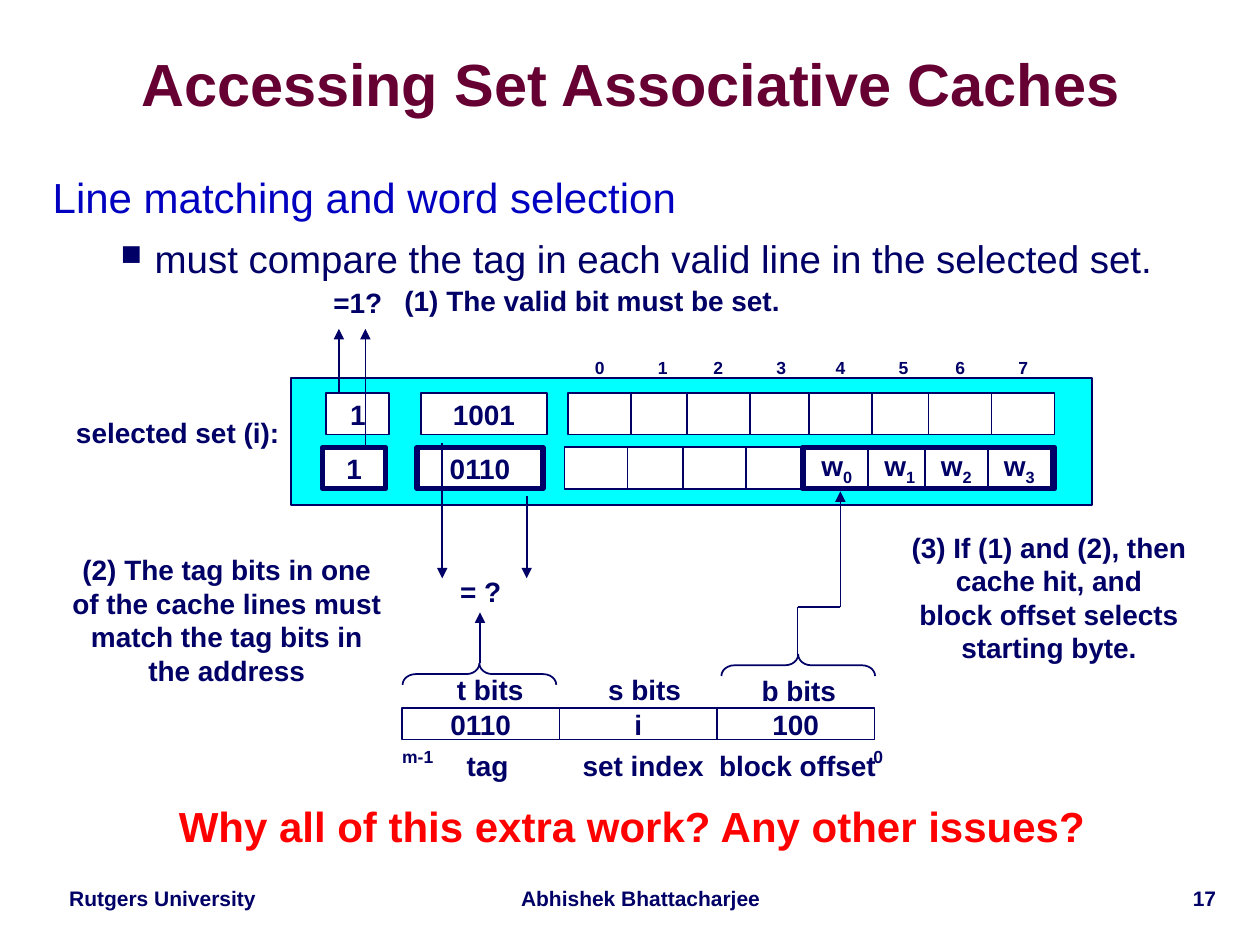
from dataclasses import dataclass
from typing import NamedTuple, Optional

import pptx
import pptx.dml.color
import pptx.enum.shapes
import pptx.enum.text
import pptx.oxml.xmlchemy
import pptx.util

ALIGN = pptx.enum.text.PP_ALIGN
ANCHOR = pptx.enum.text.MSO_ANCHOR
SHAPES = pptx.enum.shapes.MSO_SHAPE


@dataclass(frozen=True)
class Theme:
    font: str = "Arial"
    ink: str = "000066"
    title: str = "660033"
    heading: str = "0000C0"
    alert: str = "FF0000"
    band: str = "00FFFF"
    paper: str = "FFFFFF"
    title_size: int = 34
    heading_size: int = 24
    bullet_size: int = 22
    label_size: int = 16
    footer_size: int = 12
    index_size: int = 10
    thin: int = 1
    thick: int = 3


class Box(NamedTuple):
    """A place on the grid of 100 columns by 75 rows."""
    column: float
    row: float
    columns: float
    rows: float


class Style(NamedTuple):
    size: int
    color: str
    bold: bool = True


class Label(NamedTuple):
    text: str
    box: Box


class Line(NamedTuple):
    start: tuple[float, float]
    end: tuple[float, float]
    arrow: bool = True


THEME = Theme()
LABEL = Style(THEME.label_size, THEME.ink)
INDEX = Style(THEME.index_size, THEME.ink)
FOOTER = Style(THEME.footer_size, THEME.ink)

presentation = pptx.Presentation()
presentation.slide_width = pptx.util.Inches(10)
presentation.slide_height = pptx.util.Inches(7.5)
slide = presentation.slides.add_slide(presentation.slide_layouts[6])
UNIT = presentation.slide_width / 100


def grid(*lengths: float) -> list[int]:
    return [round(length * UNIT) for length in lengths]


def rgb(color: str) -> pptx.dml.color.RGBColor:
    return pptx.dml.color.RGBColor.from_string(color)


def add_child(parent, tag: str, **attributes: str):
    child = pptx.oxml.xmlchemy.OxmlElement(tag)
    for name, value in attributes.items():
        child.set(name, value)
    parent.append(child)


def add_run(paragraph, text: str, style: Style, subscript: bool = False) -> None:
    run = paragraph.add_run()
    run.text = text
    run.font.name = THEME.font
    run.font.size = pptx.util.Pt(style.size)
    run.font.bold = style.bold
    run.font.color.rgb = rgb(style.color)
    if subscript:
        run._r.get_or_add_rPr().set("baseline", "-25000")


def add_text(box: Box, lines: list[str], style: Style, align=ALIGN.CENTER,
             anchor=ANCHOR.TOP, wrap: bool = False, spacing: float = 1.0):
    frame = slide.shapes.add_textbox(*grid(*box)).text_frame
    frame.word_wrap = wrap
    frame.vertical_anchor = anchor
    for number, line in enumerate(lines):
        paragraph = frame.add_paragraph() if number else frame.paragraphs[0]
        paragraph.alignment = align
        paragraph.line_spacing = spacing
        add_run(paragraph, line, style)
    return frame


def add_cell(box: Box, text: str = "", subscript: str = "", weight: int = THEME.thin,
             fill: Optional[str] = THEME.paper, kind=SHAPES.RECTANGLE):
    shape = slide.shapes.add_shape(kind, *grid(*box))
    shape.shadow.inherit = False
    if fill:
        shape.fill.solid()
        shape.fill.fore_color.rgb = rgb(fill)
    else:
        shape.fill.background()
    shape.line.color.rgb = rgb(THEME.ink)
    shape.line.width = pptx.util.Pt(weight)
    if text:
        shape.text_frame.word_wrap = False
        shape.text_frame.vertical_anchor = ANCHOR.MIDDLE
        paragraph = shape.text_frame.paragraphs[0]
        paragraph.alignment = ALIGN.CENTER
        add_run(paragraph, text, LABEL)
        if subscript:
            add_run(paragraph, subscript, LABEL, subscript=True)
    return shape


def add_line(line: Line) -> None:
    connector = slide.shapes.add_connector(
        pptx.enum.shapes.MSO_CONNECTOR.STRAIGHT, *grid(*line.start, *line.end))
    connector.line.color.rgb = rgb(THEME.ink)
    connector.line.width = pptx.util.Pt(THEME.thin)
    if line.arrow:
        add_child(connector.line._get_or_add_ln(), "a:tailEnd", type="triangle")
    add_child(connector._element.spPr, "a:effectLst")


def add_brace(box: Box) -> None:
    brace = add_cell(box, fill=None, kind=SHAPES.RIGHT_BRACE)
    brace.rotation = 270
    brace.adjustments[0] = 0.61
    brace.adjustments[1] = 0.5


def add_cache_line(left: float, top: float, tag: str, words: list[str], weight: int) -> None:
    add_cell(Box(left, top, 5, 3.3), "1", weight=weight)
    add_cell(Box(left + 7.5, top, 10, 3.3), tag, weight=weight)
    for offset, word in zip(WORD_OFFSETS, words):
        add_cell(Box(left + offset, top, 5, 3.3), word[:1], word[1:])


# Words stand in pairs, measured from the left edge of a cache line.
WORD_OFFSETS = [pair + step for pair in (19.2, 28.6, 38.3, 47.8) for step in (0, 5)]

# Footer, title and body text
add_text(Box(3.3, 70, 19.2, 2.8), ["Rutgers University"], FOOTER, spacing=0.9)
add_text(Box(40, 70, 21.7, 2.8), ["Abhishek Bhattacharjee"], FOOTER, spacing=0.9)
add_text(Box(81.7, 70, 15.8, 3), ["17"], FOOTER, ALIGN.RIGHT, spacing=0.9, wrap=True)
title = add_text(Box(3.1, 2.7, 93.9, 8.5), ["Accessing Set Associative Caches"],
                 Style(THEME.title_size, THEME.title), anchor=ANCHOR.MIDDLE,
                 wrap=True, spacing=0.87)
title.margin_left = title.margin_right = title.margin_top = title.margin_bottom = 0

body = add_text(Box(3.2, 13.4, 94.3, 9), ["Line matching and word selection"],
                Style(THEME.heading_size, THEME.heading, False), ALIGN.LEFT,
                wrap=True, spacing=0.95)
bullet = body.add_paragraph()
bullet.space_before = pptx.util.Pt(7)
properties = bullet._p.get_or_add_pPr()
properties.set("marL", str(pptx.util.Inches(0.81)))
properties.set("indent", str(pptx.util.Inches(-0.27)))
add_child(properties, "a:buSzPct", val="75000")
add_child(properties, "a:buChar", char="■")
add_run(bullet, "must compare the tag in each valid line in the selected set.",
        Style(THEME.bullet_size, THEME.ink, False))

# Selected set
add_cell(Box(23.1, 30, 63.6, 10.1), fill=THEME.band)
add_cache_line(25.9, 31.2, "1001", [""] * 8, THEME.thin)
add_cache_line(25.6, 35.5, "0110", [""] * 4 + ["w0", "w1", "w2", "w3"], THEME.thick)
add_cell(Box(63.7, 35.5, 20, 3.3), weight=THEME.thick, fill=None)
for index, offset in enumerate(WORD_OFFSETS):
    add_text(Box(25.9 + offset, 27.5, 5, 3.3), [str(index)], INDEX, anchor=ANCHOR.MIDDLE)

# Address fields
for field, value in enumerate(("0110", "i", "100")):
    add_cell(Box(31.9 + 12.5 * field, 56.2, 12.5, 2.5), value, fill=None)
for brace_left in (37.2, 62.5):
    add_brace(Box(brace_left, 47.4 if brace_left < 50 else 46.7, 1.7, 12.2))

for label in (
    Label("t bits", Box(35.2, 52.9, 7.4, 3.7)),
    Label("s bits", Box(47.2, 52.9, 7.9, 3.7)),
    Label("b bits", Box(59.4, 53, 8, 3.7)),
    Label("tag", Box(36, 58.9, 5.4, 3.7)),
    Label("set index", Box(45.2, 58.9, 11.7, 3.7)),
    Label("block offset", Box(56, 58.9, 14.6, 3.7)),
    Label("selected set (i):", Box(4.9, 32.5, 18.4, 3.7)),
    Label("=1?", Box(25.4, 22.2, 6, 3.7)),
    Label("(1) The valid bit must be set.", Box(30.9, 22, 32.2, 3.7)),
    Label("= ?", Box(35.5, 45.1, 5.3, 3.7)),
):
    add_text(label.box, [label.text], LABEL)
for label in (Label("m-1", Box(30.9, 58.7, 4.5, 2.7)), Label("0", Box(68.3, 58.7, 2.8, 2.7))):
    add_text(label.box, [label.text], INDEX, anchor=ANCHOR.MIDDLE)

# Matching steps
add_text(Box(0, 43.3, 36, 11.8),
         ["(2) The tag bits in one", "of the cache lines must", "match the tag bits in",
          "the address"], LABEL, anchor=ANCHOR.MIDDLE, wrap=True)
add_text(Box(67.4, 41.5, 31.7, 11.8),
         ["(3) If (1) and (2), then", "cache hit, and", "block offset selects",
          "starting byte."], LABEL, anchor=ANCHOR.MIDDLE, wrap=True)
for line in (
    Line((26.9, 31.1), (26.9, 26.1)),
    Line((29, 35.5), (29, 26.1)),
    Line((38.1, 52.6), (38.1, 48.6)),
    Line((41.8, 39.4), (41.8, 45.9)),
    Line((35.1, 35.2), (35.1, 45.9)),
    Line((63.3, 52.3), (63.3, 48.2), arrow=False),
    Line((63.3, 48.2), (66.7, 48.2), arrow=False),
    Line((66.7, 48.2), (66.7, 39)),
):
    add_line(line)

add_text(Box(4.7, 63.3, 90.9, 8.3), ["Why all of this extra work? Any other issues?"],
         Style(THEME.heading_size, THEME.alert), wrap=True, spacing=0.95)

presentation.save("out.pptx")
